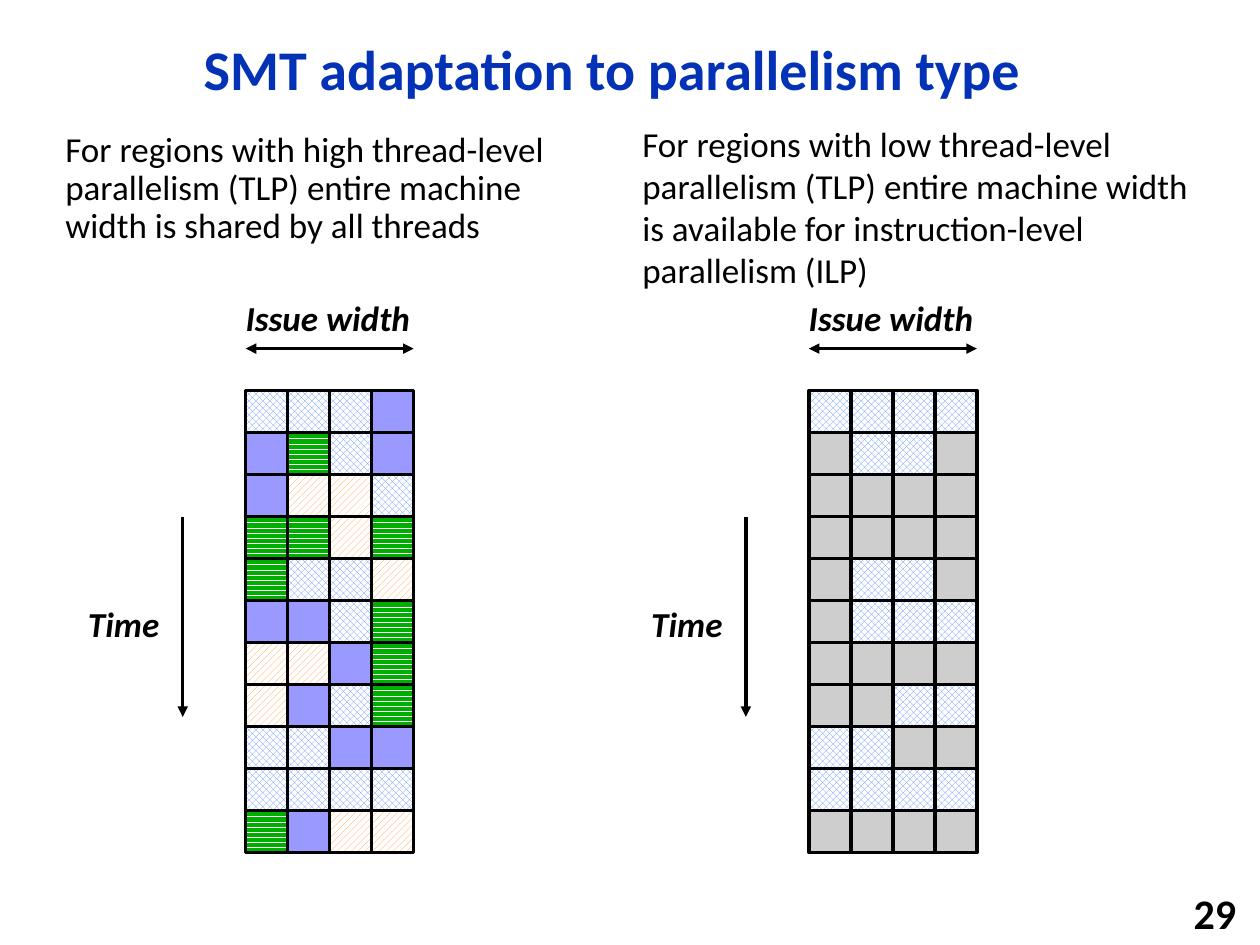
from dataclasses import dataclass

from lxml.etree import SubElement
from pptx import Presentation
from pptx.dml.color import RGBColor
from pptx.enum.dml import MSO_PATTERN
from pptx.enum.shapes import MSO_CONNECTOR, MSO_SHAPE
from pptx.enum.text import MSO_ANCHOR, PP_ALIGN
from pptx.oxml.ns import qn
from pptx.util import Inches, Pt

# Content
TITLE = "SMT adaptation to parallelism type "
PAGE_NUMBER = "29"
WIDTH_LABEL, TIME_LABEL = "Issue width", "Time"

# Issue slots, one string per cycle: D, S, H and W are threads, "." is idle
PANELS = [
    {
        "text": "For regions with high thread-level parallelism (TLP) entire "
                "machine width is shared by all threads",
        "box": (0.42, 1.0, 4.29, 1.14),
        "spacing": 0.9,
        "slots": ["DDDS", "SHDS", "SWWD", "HHWH", "HDDW", "SSDH",
                  "WWSH", "WSDH", "DDSS", "DDDD", "HSWW"],
    },
    {
        "text": "For regions with low thread-level parallelism (TLP) entire "
                "machine width is available for instruction-level parallelism (ILP)",
        "box": (5.0, 0.92, 4.73, 1.14),
        "spacing": 1.0,
        "slots": ["DDDD", ".DD.", "....", "....", ".DD.", ".DDD",
                  "....", "..DD", "DD..", "DDDD", "...."],
    },
]


@dataclass(frozen=True)
class Theme:
    font: str = "Calibri"
    title: str = "0332B7"
    ink: str = "000000"
    paper: str = "FFFFFF"
    title_size: int = 32
    number_size: int = 24
    body_size: int = 20
    stroke: int = 2


THEME = Theme()
SLOT_FILLS = {  # colour and pattern
    "D": ("618FFD", MSO_PATTERN.SOLID_DIAMOND),
    "H": ("00AE00", MSO_PATTERN.DARK_HORIZONTAL),
    "W": ("FF9933", MSO_PATTERN.WIDE_UPWARD_DIAGONAL),
    "S": ("9999FF", None),
    ".": ("CECECE", None),
}

# Grid, in inches
CELL = 1 / 3
GRID_LEFT, GRID_TOP = 1.95, 3.1
PANEL_STEP = 4.47


def rgb(code):
    return RGBColor.from_string(code)


def add_text(shapes, text, place, size=THEME.body_size, color=THEME.ink, bold=False,
             italic=False, align=PP_ALIGN.LEFT, anchor=MSO_ANCHOR.TOP, wrap=True,
             spacing=1.0):
    box = shapes.add_textbox(*map(Inches, place))
    frame = box.text_frame
    frame.word_wrap = wrap
    frame.vertical_anchor = anchor
    para = frame.paragraphs[0]
    para.alignment = align
    para.line_spacing = spacing
    span = para.add_run()
    span.text = text
    font = span.font
    font.name, font.size, font.bold, font.italic = THEME.font, Pt(size), bold, italic
    font.color.rgb = rgb(color)


def add_arrow(shapes, start, end, ends):
    arrow = shapes.add_connector(MSO_CONNECTOR.STRAIGHT, *map(Inches, start + end))
    arrow.line.color.rgb = rgb(THEME.ink)
    arrow.line.width = Pt(THEME.stroke)
    properties = arrow.element.spPr
    for name in ends:
        SubElement(properties.find(qn("a:ln")), qn(f"a:{name}"), type="triangle")
    SubElement(properties, qn("a:effectLst"))


def add_slot(shapes, left, top, kind):
    slot = shapes.add_shape(MSO_SHAPE.RECTANGLE, *map(Inches, (left, top, CELL, CELL)))
    slot.shadow.inherit = False
    color, pattern = SLOT_FILLS[kind]
    if pattern is None:
        slot.fill.solid()
        slot.fill.fore_color.rgb = rgb(color)
    else:
        slot.fill.patterned()
        slot.fill.pattern = pattern
        slot.fill.fore_color.rgb = rgb(color)
        slot.fill.back_color.rgb = rgb(THEME.paper)
    slot.line.color.rgb = rgb(THEME.ink)
    slot.line.width = Pt(THEME.stroke)


def add_diagram(page, left, slots):
    shapes = page.shapes.add_group_shape().shapes
    for row, cycle in enumerate(slots):
        for column, kind in enumerate(cycle):
            add_slot(shapes, left + column * CELL, GRID_TOP + row * CELL, kind)

    # Axes: width one cell above the grid, time one and a half cells beside it
    width_y = GRID_TOP - CELL
    time_x = left - 1.5 * CELL
    add_arrow(shapes, (left, width_y), (left + 4 * CELL, width_y), ("headEnd", "tailEnd"))
    add_arrow(shapes, (time_x, GRID_TOP + 3 * CELL), (time_x, GRID_TOP + 7.77 * CELL),
              ("tailEnd",))
    for label, place in (
        (WIDTH_LABEL, (left - 0.1, width_y - 0.46, 1.59, 0.44)),
        (TIME_LABEL, (time_x - 0.85, GRID_TOP + 1.63, 0.84, 0.44)),
    ):
        add_text(shapes, label, place, bold=True, italic=True, wrap=False)


def main():
    deck = Presentation()
    deck.slide_width, deck.slide_height = Inches(10), Inches(7.5)
    page = deck.slides.add_slide(deck.slide_layouts[6])

    # Title and page number
    add_text(page.shapes, TITLE, (0.92, 0.17, 7.98, 0.81), THEME.title_size, THEME.title,
             bold=True, align=PP_ALIGN.CENTER, anchor=MSO_ANCHOR.MIDDLE, spacing=0.9)
    add_text(page.shapes, PAGE_NUMBER, (7.83, 7.08, 2.08, 0.32), THEME.number_size,
             bold=True, align=PP_ALIGN.RIGHT, anchor=MSO_ANCHOR.MIDDLE, wrap=False)

    # Explanation and issue-slot diagram, side by side
    for index, panel in enumerate(PANELS):
        add_text(page.shapes, panel["text"], panel["box"], spacing=panel["spacing"])
        add_diagram(page, GRID_LEFT + index * PANEL_STEP, panel["slots"])

    deck.save("out.pptx")


if __name__ == "__main__":
    main()
